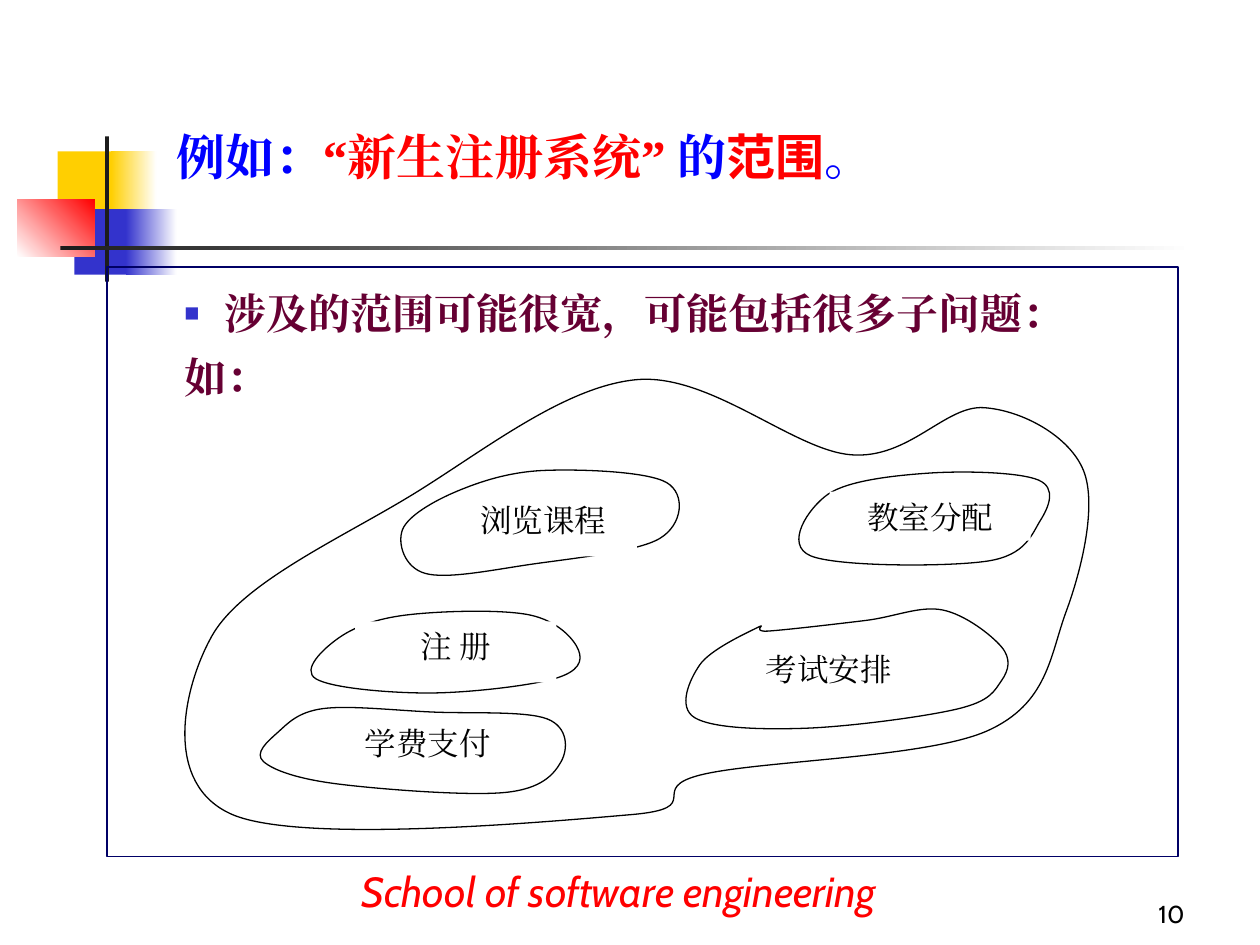
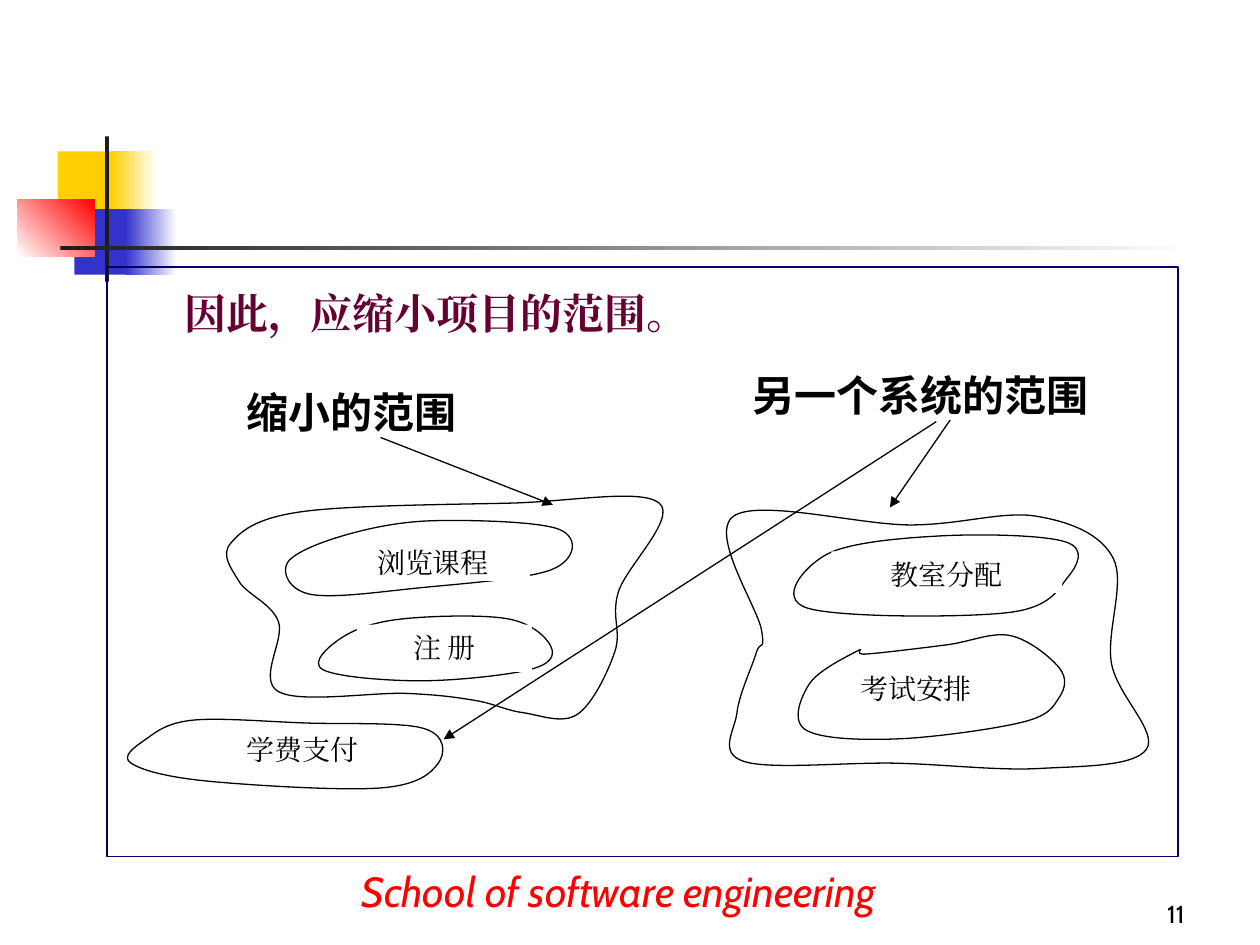
from lxml import etree
from pptx import Presentation
from pptx.dml.color import RGBColor
from pptx.enum.shapes import MSO_CONNECTOR, MSO_SHAPE
from pptx.enum.text import MSO_ANCHOR, MSO_AUTO_SIZE, PP_ALIGN
from pptx.oxml.ns import qn
from pptx.util import Pt

RECTANGLE = MSO_SHAPE.RECTANGLE
STRAIGHT = MSO_CONNECTOR.STRAIGHT
BOTTOM = MSO_ANCHOR.BOTTOM
NO_AUTOFIT = MSO_AUTO_SIZE.NONE
LEFT, CENTER, RIGHT, JUSTIFY = PP_ALIGN.LEFT, PP_ALIGN.CENTER, PP_ALIGN.RIGHT, PP_ALIGN.JUSTIFY

SERIF, SANS, CJK = "Times New Roman", "Cabin", "Noto Sans CJK SC"
COLORS = {name: RGBColor.from_string(value) for name, value in {
    "yellow": "FFCF01", "bar blue": "3333CC", "red": "FF0000", "ink": "1C1C1C",
    "white": "FFFFFF", "black": "000000", "blue": "0000FF", "plum": "660033",
    "frame": "000066",
}.items()}


def write(paragraph, text, font=SERIF, size=18, color="black", bold=False, italic=False, align=LEFT):
    paragraph.alignment = align
    run = paragraph.add_run()
    run.text = text
    run.font.name = font
    run.font.size = Pt(size)
    run.font.bold = bold
    run.font.italic = italic
    run.font.color.rgb = COLORS[color]
    etree.SubElement(run.font._element, qn("a:ea"), typeface=font)


def draw_outline(slide, knots, box):
    points = [knots[0]]
    for i, (x, y) in enumerate(knots):
        before, after = knots[i - 1], knots[(i + 1) % len(knots)]
        beyond = knots[(i + 2) % len(knots)]
        points += [(x + (after[0] - before[0]) / 6, y + (after[1] - before[1]) / 6),
                   (after[0] - (beyond[0] - x) / 6, after[1] - (beyond[1] - y) / 6),
                   after]
    low_x, low_y = (min(axis) for axis in zip(*points))
    high_x, high_y = (max(axis) for axis in zip(*points))
    left, top, width, height = box
    placed = [(Pt(left + (x - low_x) * width / (high_x - low_x)),
               Pt(top + (y - low_y) * height / (high_y - low_y))) for x, y in points]
    builder = slide.shapes.build_freeform(*placed[0])
    builder.add_line_segments(placed[1:], close=True)
    blob = builder.convert_to_shape()
    blob.shadow.inherit = False
    blob.fill.solid()
    blob.fill.fore_color.rgb = COLORS["white"]
    blob.line.color.rgb = COLORS["black"]
    blob.line.width = Pt(0.75)
    contour = next(blob._element.iter(qn("a:path")))
    segments = contour.findall(qn("a:lnTo"))
    closing = contour.find(qn("a:close"))
    for i in range(0, len(segments), 3):
        curve = etree.Element(qn("a:cubicBezTo"))
        closing.addprevious(curve)
        for segment in segments[i:i + 3]:
            curve.append(segment[0])
            contour.remove(segment)


BAND = [
    ((33, 86.5, 34.5, 37.5), ["yellow"], 0),
    ((63.5, 86.5, 26, 37.5), ["yellow", "white"], 0),
    ((42.5, 119.5, 33, 37.5), ["bar blue"], 0),
    ((72, 119.5, 29, 37.5), ["bar blue", "white"], 0),
    ((10, 113.75, 44, 33), ["white", "red"], 45),
    ((60, 78, 2.25, 83), ["ink"], 0),
    ((34.5, 140.4, 648, 2.25), ["ink", "white"], 0),
]

TOPICS = {
    "浏览课程": [(261, 281), (311, 269), (381, 276), (377, 308), (302, 323), (243, 328), (230, 303)],
    "注 册": [(233, 351), (303, 351), (331, 371), (317, 387), (245, 395), (181, 387), (194, 364)],
    "学费支付": [(184, 405), (246, 407), (312, 411), (320, 436), (288, 454), (192, 449),
             (150, 436), (158, 419)],
    "教室分配": [(473, 282), (531, 270), (593, 274), (594, 297), (564, 320), (463, 317)],
    "考试安排": [(433, 358), (439, 360), (495, 354), (539, 348), (573, 369), (573, 388),
             (548, 404), (460, 415), (397, 409), (400, 379)],
}

WHOLE_SCOPE = [(234, 284), (364, 217), (487, 260), (563, 233), (620, 269), (610, 350),
               (565, 418), (402, 443), (361, 466), (133, 466), (121, 364)]
REDUCED_SCOPE = [(126, 310), (167, 292), (290, 287), (377, 287), (353, 338), (351, 372), (329, 408),
                 (297, 407), (269, 400), (229, 396), (154, 395), (154, 355), (131, 332)]
OTHER_SCOPE = [(436, 360), (420, 295), (521, 300), (593, 295), (637, 319), (636, 379),
               (656, 428), (595, 439), (513, 436), (426, 435), (422, 407), (433, 373)]

PAGES = [
    {
        "number": 10,
        "title": [("例如：", "blue", SERIF), ("“新生注册系统”", "red", SERIF), (" 的", "blue", SERIF),
                  ("范围", "red", CJK), ("。", "blue", SERIF)],
        "body": [("涉及的范围可能很宽，可能包括很多子问题：", True), ("如：", False)],
        "scopes": [(WHOLE_SCOPE, (93, 213, 534, 269.5))],
        "topic size": 18,
        "topics": {
            "浏览课程": ((227, 268, 165, 63), (257, 283, 107, 35)),
            "注 册": ((172, 348, 161, 48), (203, 355, 115, 35)),
            "学费支付": ((145, 403, 180, 52), (187, 410, 115, 35)),
            "教室分配": ((448, 269, 156, 55), (474, 281, 115, 28)),
            "考试安排": ((387, 346, 191, 71), (416, 368, 115, 35)),
        },
        "callouts": [],
        "arrows": [],
    },
    {
        "number": 11,
        "title": [],
        "body": [("因此，应缩小项目的范围。", False)],
        "scopes": [(REDUCED_SCOPE, (126, 279, 261, 135)), (OTHER_SCOPE, (405, 285, 257, 155.5))],
        "topic size": 16,
        "topics": {
            "浏览课程": ((161, 297, 170, 45), (192, 308, 111, 24)),
            "注 册": ((177, 351, 140, 38), (204, 357, 100, 27)),
            "学费支付": ((69, 410, 186, 42), (113, 415, 120, 27)),
            "教室分配": ((444, 305, 177, 48), (475, 315, 132, 24)),
            "考试安排": ((452, 361, 158, 62), (476, 380, 95, 30)),
        },
        "callouts": [("缩小的范围", (75, 214, 252, 39.5)), ("另一个系统的范围", (400, 204, 252, 39.5))],
        "arrows": [(217.5, 250, 316, 288.5), (543, 240, 508.5, 290), (535, 241, 253.5, 422.5)],
    },
]

deck = Presentation()
deck.slide_width, deck.slide_height = Pt(720), Pt(540)
layout = deck.slide_layouts[1]
for unused in list(layout.placeholders)[2:]:
    unused._element.getparent().remove(unused._element)
layout_title, layout_body = layout.placeholders
for holder, box in ((layout_title, (93.5, 43, 535, 66.5)), (layout_body, (61.2, 152.6, 612, 337))):
    holder.left, holder.top, holder.width, holder.height = map(Pt, box)

slides = [deck.slides.add_slide(layout) for page in PAGES]

for box, colors, angle in BAND:
    block = slides[0].shapes.add_shape(RECTANGLE, *map(Pt, box))
    block.shadow.inherit = False
    block.line.fill.background()
    if len(colors) == 1:
        block.fill.solid()
        block.fill.fore_color.rgb = COLORS[colors[0]]
    else:
        block.fill.gradient()
        block.fill.gradient_angle = angle
        for stop, color in zip(block.fill.gradient_stops, colors):
            stop.color.rgb = COLORS[color]
    layout.shapes._spTree.append(block._element)

for slide, page in zip(slides, PAGES):
    title, body = slide.placeholders
    if page["title"]:
        title.text_frame.auto_size = NO_AUTOFIT
        title.text_frame.vertical_anchor = BOTTOM
        for text, color, font in page["title"]:
            write(title.text_frame.paragraphs[0], text, font=font, size=28, color=color, bold=True)
    else:
        title._element.getparent().remove(title._element)

    body.line.color.rgb = COLORS["frame"]
    body.line.width = Pt(0.75)
    body.text_frame.auto_size = NO_AUTOFIT
    body.text_frame.margin_top = Pt(6)
    for i, (text, bulleted) in enumerate(page["body"]):
        statement = body.text_frame.add_paragraph() if i else body.text_frame.paragraphs[0]
        statement.line_spacing = 1.2
        statement.space_before = Pt(2 if i else 0)
        properties = statement._p.get_or_add_pPr()
        properties.set("marL", str(Pt(60)))
        properties.set("indent", str(Pt(-23)))
        if bulleted:
            bullet_color = etree.SubElement(properties, qn("a:buClr"))
            etree.SubElement(bullet_color, qn("a:srgbClr"), val=str(COLORS["bar blue"]))
            etree.SubElement(properties, qn("a:buSzPct"), val="60000")
            etree.SubElement(properties, qn("a:buChar"), char="■")
        else:
            etree.SubElement(properties, qn("a:buNone"))
        write(statement, text, size=24, color="plum", bold=True, align=JUSTIFY)

    for knots, box in page["scopes"]:
        draw_outline(slide, knots, box)
    for topic, (outline_box, label_box) in page["topics"].items():
        draw_outline(slide, TOPICS[topic], outline_box)
        label = slide.shapes.add_textbox(*map(Pt, label_box))
        label.fill.solid()
        label.fill.fore_color.rgb = COLORS["white"]
        label.text_frame.word_wrap = True
        write(label.text_frame.paragraphs[0], topic, size=page["topic size"], align=CENTER)

    captions = [
        (str(page["number"]), (534, 498, 150, 36), {"font": SANS, "size": 14, "align": RIGHT}),
        ("School of software engineering", (199.5, 496, 438, 31),
         {"font": SANS, "size": 24, "color": "red", "italic": True}),
    ]
    captions += [(text, box, {"font": CJK, "size": 24, "bold": True, "align": CENTER})
                 for text, box in page["callouts"]]
    for text, box, style in captions:
        caption = slide.shapes.add_textbox(*map(Pt, box))
        caption.text_frame.word_wrap = True
        caption.text_frame.vertical_anchor = BOTTOM
        write(caption.text_frame.paragraphs[0], text, **style)

    for ends in page["arrows"]:
        arrow = slide.shapes.add_connector(STRAIGHT, *map(Pt, ends))
        arrow.line.color.rgb = COLORS["black"]
        arrow.line.width = Pt(0.75)
        etree.SubElement(arrow.line._get_or_add_ln(), qn("a:tailEnd"), type="triangle")
        etree.SubElement(arrow._element.spPr, qn("a:effectLst"))

deck.save("out.pptx")
